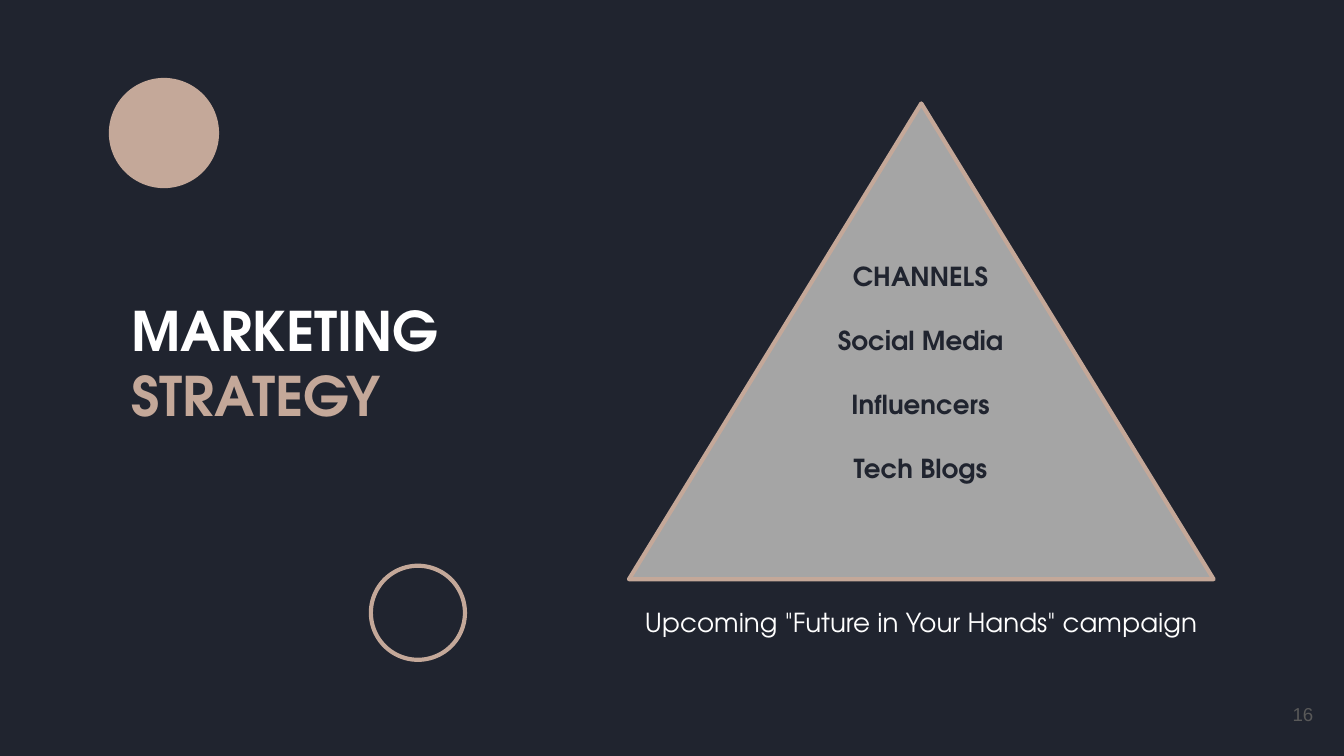
from pptx import Presentation
from pptx.dml.color import RGBColor
from pptx.enum.shapes import MSO_SHAPE
from pptx.enum.text import MSO_ANCHOR, MSO_AUTO_SIZE, PP_ALIGN
from pptx.util import Inches, Pt

RECT = MSO_SHAPE.RECTANGLE
OVAL = MSO_SHAPE.OVAL
PEAK = MSO_SHAPE.FLOWCHART_EXTRACT
TOP, MIDDLE = MSO_ANCHOR.TOP, MSO_ANCHOR.MIDDLE
FIXED = MSO_AUTO_SIZE.NONE
LEFT, CENTER, RIGHT = PP_ALIGN.LEFT, PP_ALIGN.CENTER, PP_ALIGN.RIGHT

COLORS = {
    "night": "20242F",
    "sand": "C4A899",
    "gray": "A5A5A5",
    "white": "FFFFFF",
    "dim": "595959",
}
FONT = "TeX Gyre Adventor"
WIDTH = 10
HEIGHT = WIDTH * 9 / 16


def color(name):
    return RGBColor.from_string(COLORS[name])


def style(font, size, name, bold=False, face=FONT):
    font.name = face
    font.size = Pt(size)
    font.bold = bold
    font.color.rgb = color(name)


def set_frame(frame, anchor=TOP):
    frame.word_wrap = True
    frame.auto_size = FIXED
    frame.vertical_anchor = anchor
    frame.margin_left = frame.margin_right = Inches(0.1)
    frame.margin_top = frame.margin_bottom = Inches(0.1)


def add_title(slide, box, lines, names):
    title = slide.shapes.title
    title.left, title.top, title.width, title.height = map(Inches, box)
    frame = title.text_frame
    set_frame(frame)
    frame.text = "\v".join(lines)
    para = frame.paragraphs[0]
    para.alignment = LEFT
    for run, name in zip(para.runs, names):
        style(run.font, 29.2, name, True)


def add_shape(slide, kind, box, fill=None, line=None):
    shape = slide.shapes.add_shape(kind, *map(Inches, box))
    shape.shadow.inherit = False
    if fill:
        shape.fill.solid()
        shape.fill.fore_color.rgb = color(fill)
    else:
        shape.fill.background()
    if line:
        shape.line.color.rgb = color(line)
        shape.line.width = Pt(2.25)
    else:
        shape.line.fill.background()
    return shape


def add_back(slide):
    back = add_shape(slide, RECT, (0, 0, WIDTH, HEIGHT), "night")
    slide.shapes.title.element.addprevious(back.element)


def add_text(slide, box, lines, size, name, align=CENTER, bold=False,
             face=FONT, anchor=TOP, space=1.15, gap=15):
    frame = slide.shapes.add_textbox(*map(Inches, box)).text_frame
    set_frame(frame, anchor)
    frame.text = "\n".join(lines)
    for index, para in enumerate(frame.paragraphs):
        para.alignment = align
        para.line_spacing = space
        para.space_before = Pt(gap if index else 0)
        for run in para.runs:
            style(run.font, size, name, bold, face)


def main():
    deck = Presentation()
    deck.slide_width, deck.slide_height = Inches(WIDTH), Inches(HEIGHT)
    slide = deck.slides.add_slide(deck.slide_layouts[5])

    add_back(slide)
    add_title(slide, (0.88, 2.11, 2.84, 1.17),
              ["MARKETING", "STRATEGY"], ["white", "sand"])
    add_shape(slide, PEAK, (4.68, 0.77, 4.35, 3.54), "gray", "sand")
    add_text(slide, (5.92, 1.8, 1.86, 2.43),
             ["CHANNELS", "Social Media", "Influencers", "Tech Blogs"],
             14, "night", bold=True)
    add_text(slide, (4.4, 4.38, 4.91, 0.51),
             ['Upcoming "Future in Your Hands" campaign'], 14, "white")
    add_shape(slide, OVAL, (0.81, 0.58, 0.82, 0.82), fill="sand")
    add_shape(slide, OVAL, (2.76, 4.21, 0.7, 0.7), line="sand")
    add_text(slide, (9.27, 5.1, 0.6, 0.43), ["16"], 10, "dim", RIGHT,
             face="Arial", anchor=MIDDLE, space=1.0)
    deck.save("out.pptx")


if __name__ == "__main__":
    main()
